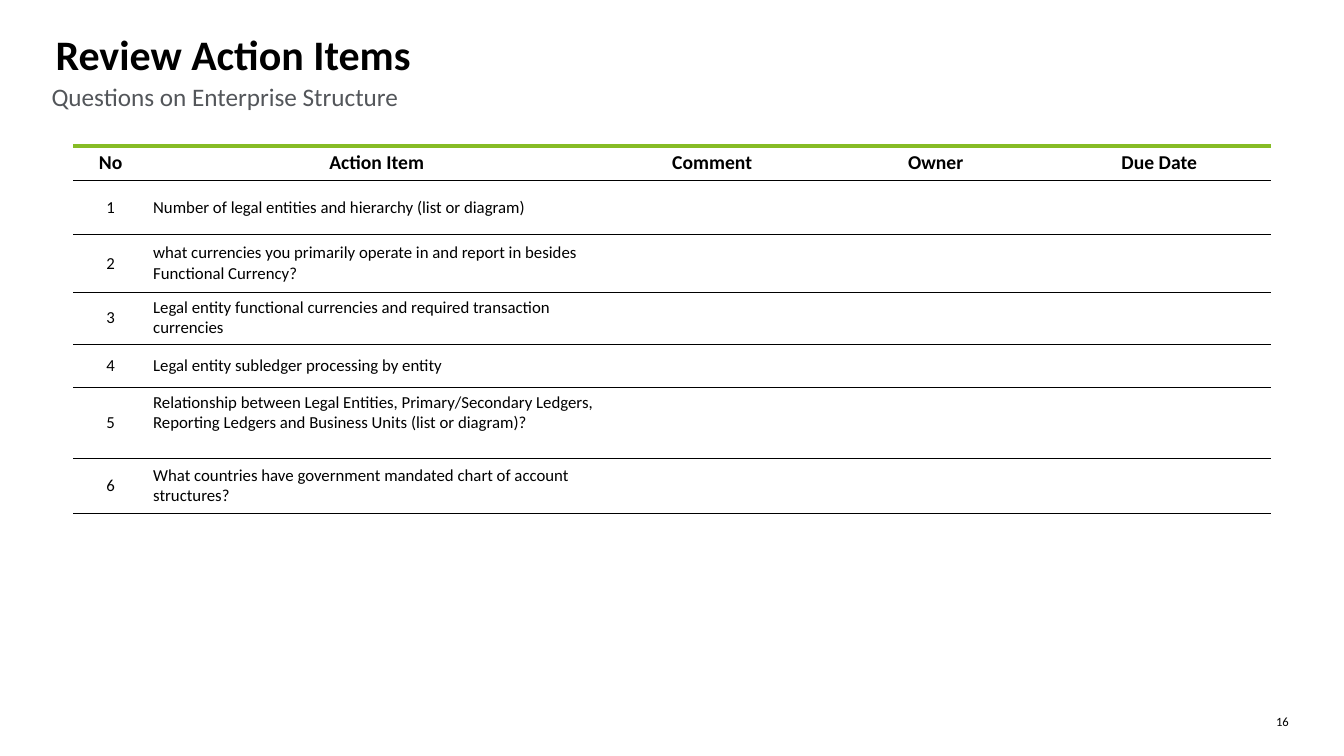
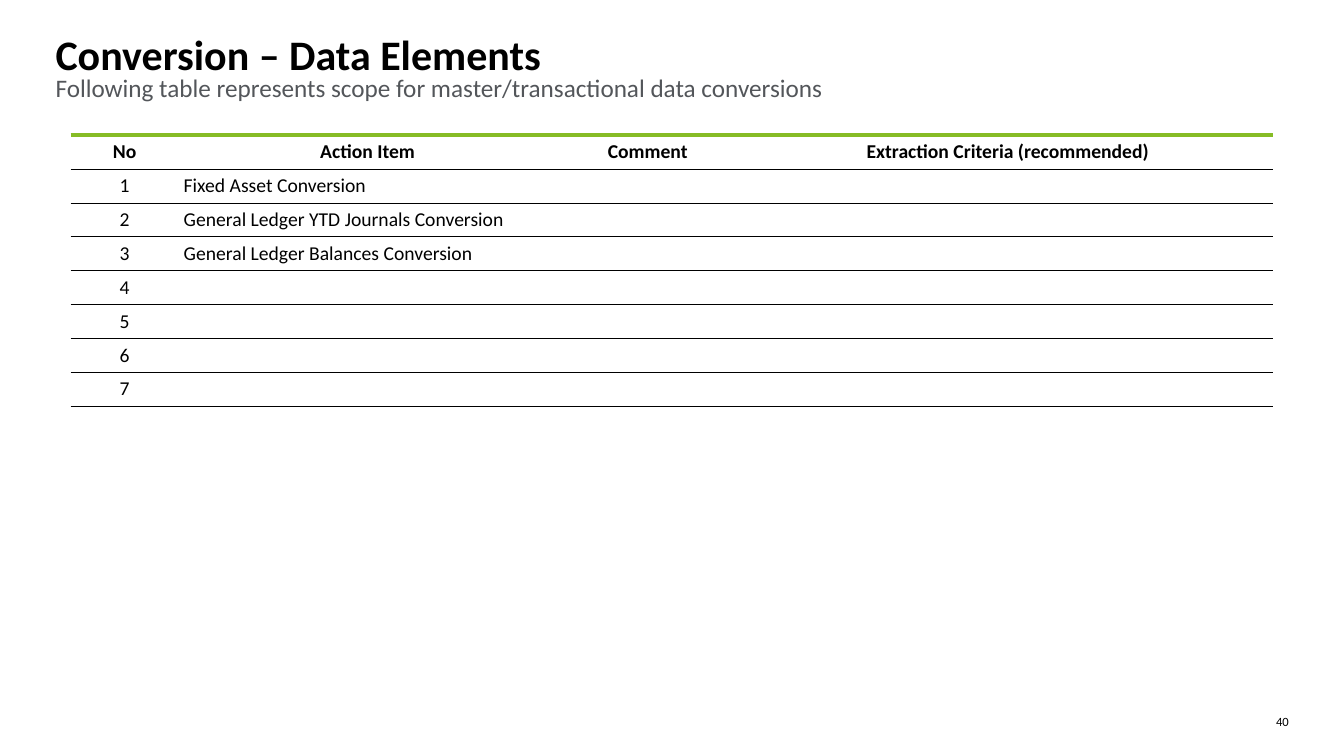
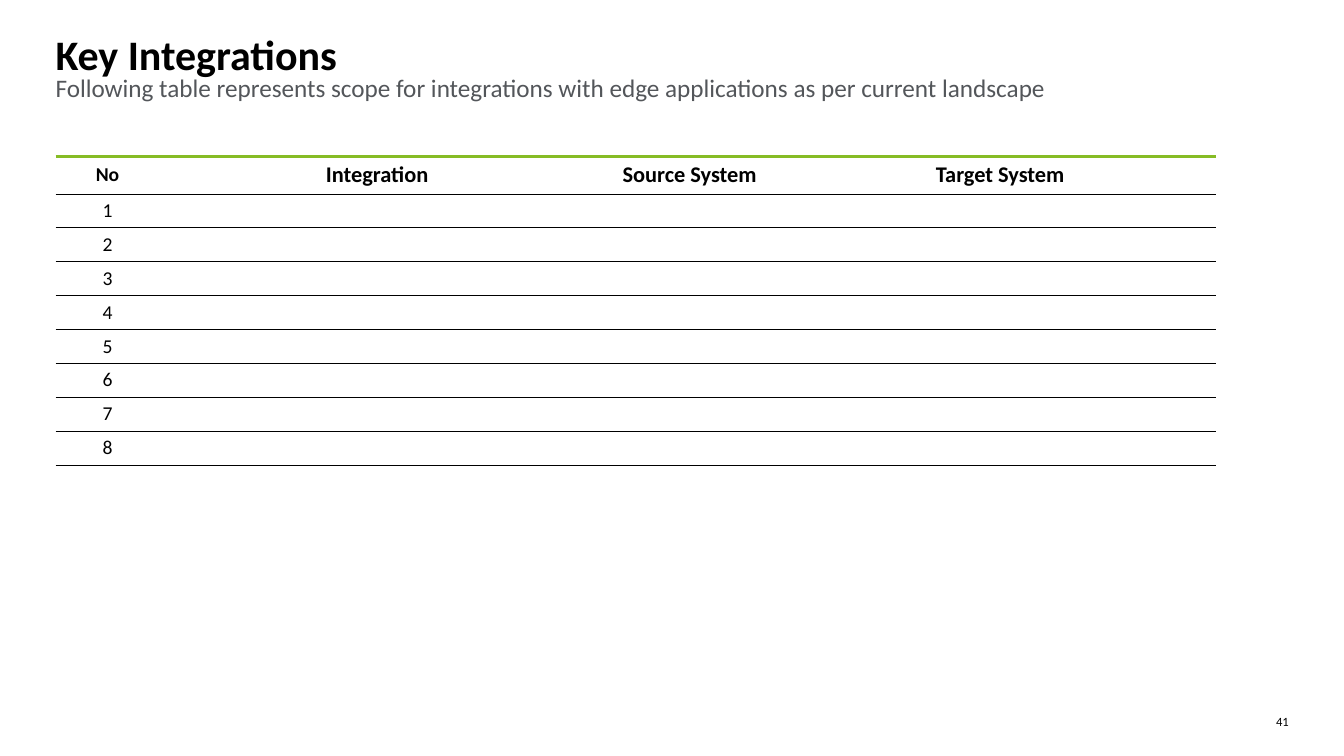
from lxml import etree
from pptx import Presentation
from pptx.dml.color import RGBColor
from pptx.enum import text
from pptx.oxml import ns
from pptx.util import Cm, Pt

FONT = "Calibri"
BLACK, GREY, GREEN = "000000", "53565A", "86BC25"
LEFT, CENTER, RIGHT = text.PP_ALIGN.LEFT, text.PP_ALIGN.CENTER, text.PP_ALIGN.RIGHT
TOP, MIDDLE = text.MSO_ANCHOR.TOP, text.MSO_ANCHOR.MIDDLE
INSET = 0.13
LINE_HEIGHT = 0.51  # one 12 pt line, in cm


def rgb(value):
    return RGBColor.from_string(value)


def add_run(p, words, size, color=BLACK, bold=False):
    r = p.add_run()
    r.text = words
    r.font.name = FONT
    r.font.size = Pt(size)
    r.font.bold = bold
    r.font.color.rgb = rgb(color)


def add_text(s, box, words, size, color=BLACK, bold=False, align=LEFT, anchor=TOP):
    tf = s.shapes.add_textbox(*map(Cm, box)).text_frame
    tf.word_wrap = True
    tf.vertical_anchor = anchor
    tf.margin_left = tf.margin_right = tf.margin_top = tf.margin_bottom = 0
    p = tf.paragraphs[0]
    p.alignment = align
    add_run(p, words, size, color, bold)


def add_frame(prs, title, subtitle, number, subtitle_at=(1.4, 1.83)):
    """Add a slide with the shared title, subtitle and page number."""
    s = prs.slides.add_slide(prs.slide_layouts[6])
    add_text(s, (1.4, 0.89, 31.09, 0.94), title, 30, bold=True, anchor=MIDDLE)
    add_text(s, (*subtitle_at, 31.09, 0.94), subtitle, 18, GREY)
    add_text(s, (31.62, 17.98, 0.86, 0.38), number, 9, align=RIGHT)
    return s


def set_border(cell, side, color=None, width=0.25):
    ln = etree.SubElement(cell._tc.get_or_add_tcPr(), ns.qn(f"a:ln{side}"), w=str(Pt(width)))
    if color is None:
        etree.SubElement(ln, ns.qn("a:noFill"))
    else:
        fill = etree.SubElement(ln, ns.qn("a:solidFill"))
        etree.SubElement(fill, ns.qn("a:srgbClr"), val=color)


def fill_cell(cell, words, size, header, align):
    cell.margin_left = cell.margin_right = cell.margin_top = cell.margin_bottom = Cm(INSET)
    cell.vertical_anchor = MIDDLE
    set_border(cell, "L")
    set_border(cell, "R")
    set_border(cell, "T", GREEN if header else BLACK, 3 if header else 0.25)
    set_border(cell, "B", BLACK)
    cell.fill.background()
    p = cell.text_frame.paragraphs[0]
    p.alignment = align
    if words:
        add_run(p, words, size, bold=header)
    else:
        p._p.get_or_add_endParaRPr().set("sz", str(size * 100))


def add_item_table(s, at, widths, heights, headers, items, body_size=14, header_size=14):
    """Add a numbered table whose second column holds the items."""
    shape = s.shapes.add_table(len(heights), len(widths), *map(Cm, at),
                               Cm(sum(widths)), Cm(sum(heights)))
    table = shape.table
    table.first_row = table.horz_banding = False
    for column, width in zip(table.columns, widths):
        column.width = Cm(width)
    for row, height in zip(table.rows, heights):
        row.height = Cm(height)
    blanks = [""] * (len(widths) - 2)
    rows = [headers] + [[str(n), item] + blanks for n, item in enumerate(items, 1)]
    for i, row in enumerate(rows):
        for j, words in enumerate(row):
            header = i == 0
            size = body_size if not header else header_size if j else 14
            align = CENTER if header or j == 0 else LEFT
            fill_cell(table.cell(i, j), words, size, header, align)
    return table


def build_action_items(prs):
    s = add_frame(prs, "Review Action Items", "Questions on Enterprise Structure", "16",
                  subtitle_at=(1.3, 2.06))
    items = [
        "Number of legal entities and hierarchy (list or diagram)",
        "what currencies you primarily operate in and report in besides Functional Currency?",
        "Legal entity functional currencies and required transaction currencies",
        "Legal entity subledger processing by entity",
        "Relationship between Legal Entities, Primary/Secondary Ledgers, "
        "Reporting Ledgers and Business Units (list or diagram)?",
        "What countries have government mandated chart of account structures?",
    ]
    table = add_item_table(
        s, (1.85, 3.68), [1.88, 11.53, 5.49, 5.66, 5.61],
        [0.86, 1.37, 1.45, 1.3, 1.1, 1.77, 1.38],
        ["No", "Action Item", "Comment ", "Owner", "Due Date"], items, body_size=12)
    table.cell(5, 1).margin_bottom = Cm(INSET + LINE_HEIGHT)


def build_conversions(prs):
    s = add_frame(prs, "Conversion – Data Elements ",
                  "Following table represents scope for master/transactional data conversions", "40")
    items = ["Fixed Asset Conversion", "General Ledger YTD Journals Conversion",
             "General Ledger Balances Conversion"] + [""] * 4
    add_item_table(s, (1.78, 3.4), [2.72, 9.53, 4.7, 13.34], [0.85] * 8,
                   ["No", "Action Item", "Comment ", "Extraction Criteria (recommended)"], items)


def build_integrations(prs):
    s = add_frame(prs, "Key Integrations ",
                  "Following table represents scope for integrations with edge applications "
                  "as per current landscape", "41")
    add_item_table(s, (1.4, 3.94), [2.62, 10.97, 4.78, 10.87], [0.94] + [0.85] * 8,
                   ["No", "Integration", "Source System", "Target System"], [""] * 8,
                   header_size=16)


def main():
    prs = Presentation()
    prs.slide_width, prs.slide_height = Cm(33.87), Cm(19.05)
    build_action_items(prs)
    build_conversions(prs)
    build_integrations(prs)
    prs.save("out.pptx")


if __name__ == "__main__":
    main()
